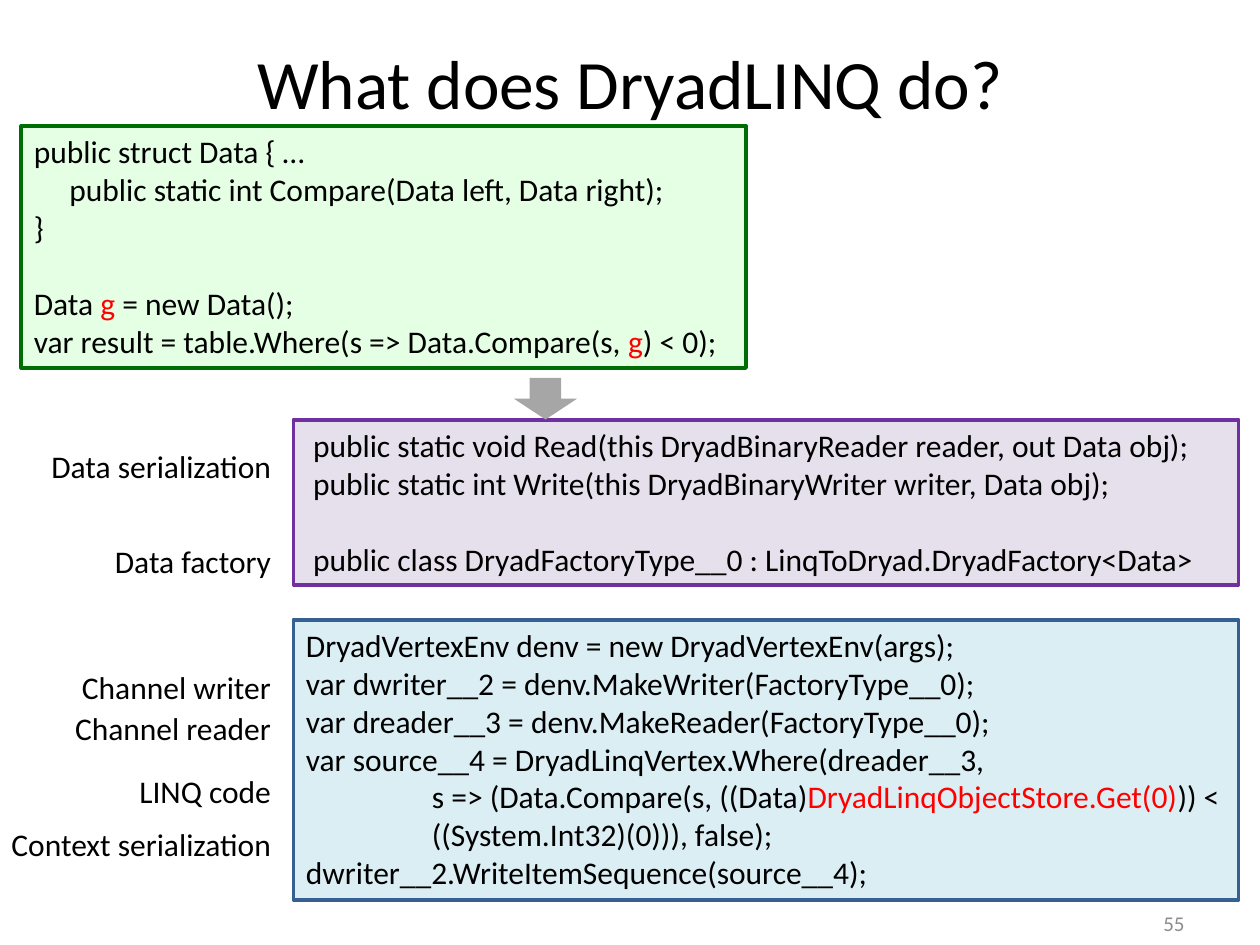
from pptx import Presentation
from pptx.dml.color import RGBColor
from pptx.enum import shapes, text
from pptx.util import Inches, Pt

BLACK = RGBColor(0x00, 0x00, 0x00)
RED = RGBColor(0xFF, 0x00, 0x00)
GREY = RGBColor(0x8C, 0x8C, 0x8C)
ARROW_GREY = RGBColor(0xA6, 0xA6, 0xA6)
GREEN, PALE_GREEN = RGBColor(0x00, 0x6C, 0x05), RGBColor(0xE5, 0xFF, 0xE5)
PURPLE, PALE_PURPLE = RGBColor(0x70, 0x30, 0xA0), RGBColor(0xE6, 0xE0, 0xEC)
BLUE, PALE_BLUE = RGBColor(0x37, 0x60, 0x92), RGBColor(0xDB, 0xEE, 0xF4)

LEFT, CENTER, RIGHT = (text.PP_ALIGN.LEFT, text.PP_ALIGN.CENTER,
                       text.PP_ALIGN.RIGHT)
BLANK_LINE = Pt(22)
LABEL_RIGHT = 2.25

# Content: code between bars is red; GAP opens a blank line,
# and INDENT marks a line set in by one inch
TITLE = "What does DryadLINQ do?"
PAGE_NUMBER = "55"
GAP, INDENT = "gap", "indent"

CODE_PANELS = [
    ((0.17, 1, 5.75, 1.92), PALE_GREEN, GREEN, [
        ("public struct Data { …", None),
        ("     public static int Compare(Data left, Data right);", None),
        ("}", None),
        ("Data |g| = new Data();", GAP),
        ("var result = table.Where(s => Data.Compare(s, |g|) < 0);", None),
    ]),
    ((2.33, 3.33, 7.5, 1.31), PALE_PURPLE, PURPLE, [
        (" public static void Read(this DryadBinaryReader reader, out Data obj);", None),
        (" public static int Write(this DryadBinaryWriter writer, Data obj);", None),
        (" public class DryadFactoryType__0 : LinqToDryad.DryadFactory<Data>", GAP),
    ]),
    ((2.33, 4.92, 7.5, 2.22), PALE_BLUE, BLUE, [
        ("DryadVertexEnv denv = new DryadVertexEnv(args);", None),
        ("var dwriter__2 = denv.MakeWriter(FactoryType__0);", None),
        ("var dreader__3 = denv.MakeReader(FactoryType__0);", None),
        ("var source__4 = DryadLinqVertex.Where(dreader__3,", None),
        ("s => (Data.Compare(s, ((Data)|DryadLinqObjectStore.Get(0)|)) < "
         "((System.Int32)(0))), false);", INDENT),
        ("dwriter__2.WriteItemSequence(source__4);", None),
    ]),
]

# Label, left, top
LABELS = [
    ("Data serialization", 0.28, 3.5),
    ("Data factory", 0.8, 4.25),
    ("Channel writer", 0.53, 5.25),
    ("Channel reader", 0.47, 5.58),
    ("LINQ code", 0.99, 6.08),
    ("Context serialization", -0.04, 6.5),
]


def inches(place):
    return [Inches(value) for value in place]


def write(para, line, align=LEFT, size=18, color=BLACK):
    """Write a line, turning the parts between bars red."""
    para.alignment = align
    for index, part in enumerate(line.split("|")):
        span = para.add_run()
        span.text = part
        look = {"name": "Calibri", "size": Pt(size)}
        for name, value in look.items():
            setattr(span.font, name, value)
        span.font.color.rgb = RED if index % 2 else color


def add_label(page, place, line, wrap=False, anchor=text.MSO_ANCHOR.TOP, **look):
    frame = page.shapes.add_textbox(*inches(place)).text_frame
    frame.word_wrap = wrap
    frame.vertical_anchor = anchor
    write(frame.paragraphs[0], line, align=RIGHT, **look)


def add_panel(page, place, fill, edge, lines):
    box = page.shapes.add_shape(shapes.MSO_SHAPE.RECTANGLE, *inches(place))
    box.shadow.inherit = False
    box.fill.solid()
    box.fill.fore_color.rgb = fill
    box.line.color.rgb = edge
    box.line.width = Pt(2.25)
    frame = box.text_frame
    frame.word_wrap = True
    frame.vertical_anchor = text.MSO_ANCHOR.TOP
    for index, (line, layout) in enumerate(lines):
        para = frame.add_paragraph() if index else frame.paragraphs[0]
        if layout == GAP:
            para.space_before = BLANK_LINE
        if layout == INDENT:
            properties = para._p.get_or_add_pPr()
            properties.set("marL", str(Inches(1)))
            properties.set("indent", "0")
        write(para, line)


def main():
    deck = Presentation()
    deck.slide_width, deck.slide_height = Inches(10), Inches(7.5)
    page = deck.slides.add_slide(deck.slide_layouts[5])

    # Title
    title = page.shapes.title
    title.left, title.top, title.width, title.height = inches((0.5, 0.3, 9, 0.7))
    title.text_frame.vertical_anchor = text.MSO_ANCHOR.MIDDLE
    write(title.text_frame.paragraphs[0], TITLE, align=CENTER, size=39.6)

    # Code panels and their labels
    for panel in CODE_PANELS:
        add_panel(page, *panel)
    for label, left, top in LABELS:
        add_label(page, (left, top, LABEL_RIGHT - left, 0.4), label)

    # Page number, in the strip below the last panel
    add_label(page, (7.17, 7.18, 2.33, 0.3), PAGE_NUMBER, wrap=True,
              anchor=text.MSO_ANCHOR.MIDDLE, size=12, color=GREY)

    # Arrow from the query to the generated code
    arrow = page.shapes.add_shape(shapes.MSO_SHAPE.DOWN_ARROW,
                                  *inches((4.08, 3, 0.5, 0.33)))
    arrow.shadow.inherit = False
    arrow.fill.solid()
    arrow.fill.fore_color.rgb = ARROW_GREY
    arrow.line.fill.background()

    deck.save("out.pptx")


if __name__ == "__main__":
    main()
